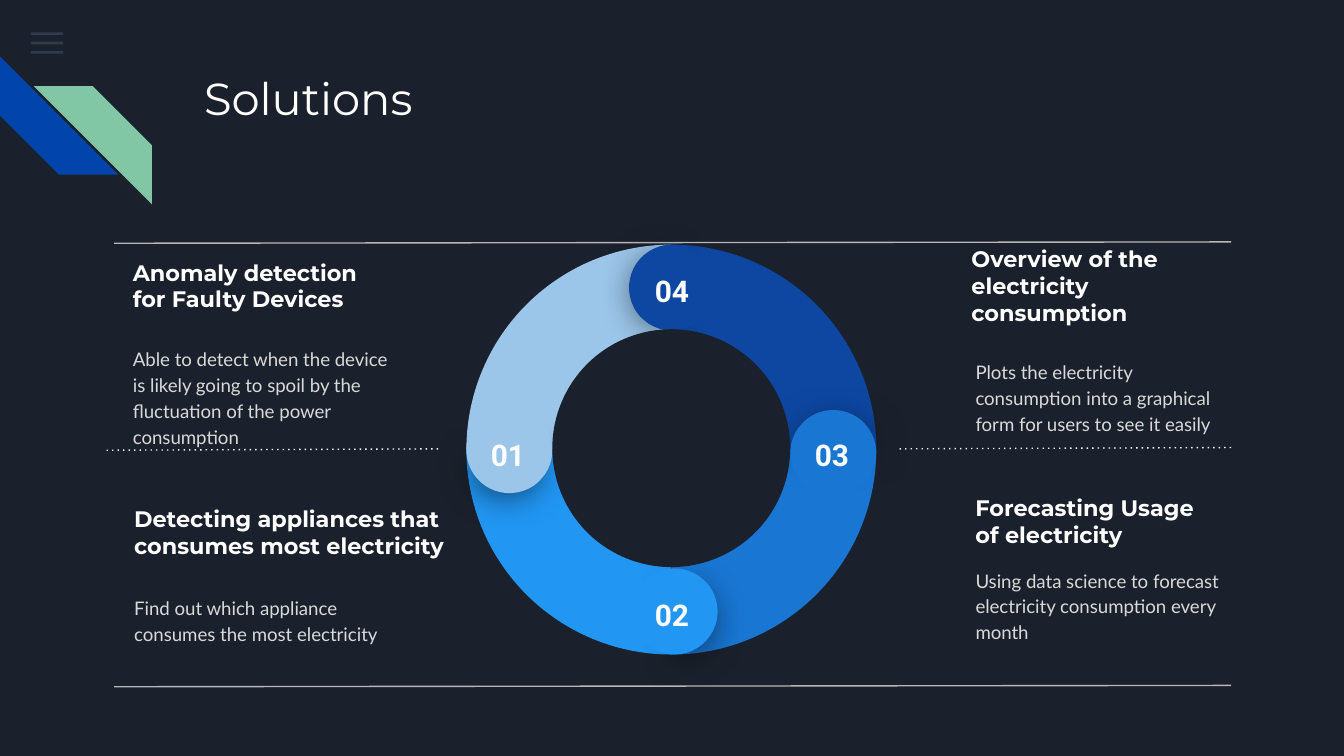
"""Build the Solutions slide: a four-part ring with a heading and text for each part."""
from lxml import etree
from pptx import Presentation
from pptx.dml.color import RGBColor
from pptx.enum.shapes import MSO_CONNECTOR, MSO_SHAPE
from pptx.enum.text import MSO_ANCHOR, PP_ALIGN
from pptx.oxml.ns import qn
from pptx.util import Inches, Pt

STRAIGHT = MSO_CONNECTOR.STRAIGHT
RECTANGLE, STRIPE, OVAL = MSO_SHAPE.RECTANGLE, MSO_SHAPE.DIAGONAL_STRIPE, MSO_SHAPE.OVAL
PIE, CHORD = MSO_SHAPE.PIE, MSO_SHAPE.CHORD
TOP, MIDDLE = MSO_ANCHOR.TOP, MSO_ANCHOR.MIDDLE
LEFT, CENTER = PP_ALIGN.LEFT, PP_ALIGN.CENTER

COLORS = {
    "background": "1B212C", "menu": "55688B", "blue": "0145AC", "green": "82C7A5",
    "white": "FFFFFF", "body": "D9D9D9", "rule": "B7B7B7", "shadow": "000000",
}

TITLE = "Solutions"
TOPICS = [
    ("Anomaly detection for Faulty Devices", (0.89, 1.88, 2.03, 0.49),
     "Able to detect when the device is likely going to spoil by the fluctuation "
     "of the power consumption", (0.89, 2.57)),
    ("Detecting appliances that consumes most electricity", (0.9, 3.53, 2.94, 0.86),
     "Find out which appliance consumes the most electricity", (0.9, 4.23)),
    ("Overview of the electricity consumption", (7.13, 1.88, 2.03, 0.49),
     "Plots the electricity consumption into a graphical form for users to see it easily",
     (7.16, 2.57)),
    ("Forecasting Usage of electricity", (7.16, 3.63, 2.03, 0.49),
     "Using data science to forecast electricity consumption every month", (7.16, 4.12)),
]
RULES = [
    ((9.16, 1.8), (0.85, 1.81), "rule", False),
    ((3.26, 3.34), (0.78, 3.35), "white", True),
    ((9.16, 3.33), (6.67, 3.34), "white", True),
    ((9.16, 5.1), (0.85, 5.11), "rule", False),
]
HALF_ARC, WIDE_HALF_ARC = (315.9, 139.7), (328.1, 129.5)
RING_PARTS = [
    ("01", "9BC5E9", (3.48, 3.07), HALF_ARC, (3.47, 3.03), (3.5, 3.15)),
    ("02", "2196F3", (4.74, 4.28), HALF_ARC, (4.7, 4.23), (4.72, 4.34)),
    ("03", "1976D2", (5.93, 3.07), WIDE_HALF_ARC, (5.88, 3.05), (5.91, 3.15)),
    ("04", "0D47A1", (4.7, 1.83), HALF_ARC, (4.68, 1.82), (4.72, 1.93)),
]
RING_BOX = (3.47, 1.82, 3.05, 3.05)
HOLE_BOX = (4.11, 2.45, 1.77, 1.77)
BODY_SIZE, LABEL_SIZE = (2.18, 0.76), (0.56, 0.29)
HALF_SIZE, DISC_SIZE = (0.57, 0.57), (0.64, 0.64)
QUARTER_ARC, DISC_ARC = (180, 270), (41.7, 30.2)
HALF_TURN, DISC_TURN = 39.5, 4.1


def inches(values):
    return [Inches(value) for value in values]


def add_filled(slide, kind, box, color, turn=0, arc=None):
    shape = slide.shapes.add_shape(kind, *inches(box))
    shape.shadow.inherit = False
    shape.fill.solid()
    shape.fill.fore_color.rgb = RGBColor.from_string(color)
    shape.line.fill.background()
    shape.rotation = turn % 360
    for index, degrees in enumerate(arc or ()):
        shape.adjustments[index] = degrees * 0.6
    return shape


def add_alpha(color_element, percent):
    etree.SubElement(color_element, qn("a:alpha"), val=str(percent * 1000))


def add_shadow(shape):
    effects = shape.element.spPr.find(qn("a:effectLst"))
    shadow = etree.SubElement(
        effects, qn("a:outerShdw"), blurRad=str(Pt(18)), dist=str(Pt(4)),
        dir="5400000", algn="bl", rotWithShape="0")
    add_alpha(etree.SubElement(shadow, qn("a:srgbClr"), val=COLORS["shadow"]), 55)


def add_text(slide, box, text, font, size, color="white", bold=False,
             anchor=MIDDLE, align=LEFT, spacing=None, after=None):
    text_frame = slide.shapes.add_textbox(*inches(box)).text_frame
    text_frame.word_wrap = True
    text_frame.vertical_anchor = anchor
    text_frame.margin_left = text_frame.margin_right = Inches(0.1)
    text_frame.margin_top = text_frame.margin_bottom = Inches(0.1)
    text_frame.text = text
    paragraph = text_frame.paragraphs[0]
    paragraph.alignment = align
    paragraph.line_spacing = spacing
    paragraph.space_after = after
    run_font = paragraph.runs[0].font
    run_font.name, run_font.size, run_font.bold = font, Pt(size), bold
    run_font.color.rgb = RGBColor.from_string(COLORS[color])


def add_rule(slide, start, end, color, dotted):
    connector = slide.shapes.add_connector(STRAIGHT, *inches(start + end))
    connector.line.color.rgb = RGBColor.from_string(COLORS[color])
    connector.line.width = Pt(0.75)
    properties = connector.element.spPr
    if dotted:
        etree.SubElement(properties.find(qn("a:ln")), qn("a:prstDash"), val="dot")
    etree.SubElement(properties, qn("a:effectLst"))


def add_decoration(slide):
    for row in range(3):
        bar = add_filled(slide, RECTANGLE, (0.23, 0.24 + 0.07 * row, 0.24, 0.02), COLORS["menu"])
        add_alpha(bar.element.spPr.find(".//" + qn("a:srgbClr")), 36)
    add_filled(slide, STRIPE, (0, 0.42, 0.88, 0.88), COLORS["blue"], 270)
    green = add_filled(slide, STRIPE, (0.25, 0.64, 0.88, 0.88), COLORS["green"])
    green.element.spPr.find(qn("a:xfrm")).set("flipH", "1")


def add_ring(slide):
    for index, (_, color, *_) in enumerate(RING_PARTS):
        add_filled(slide, PIE, RING_BOX, color, -90 * index, QUARTER_ARC)
    for index, (label, color, half, half_arc, disc, label_place) in enumerate(RING_PARTS):
        turn = -90 * index
        add_shadow(add_filled(slide, PIE, half + HALF_SIZE, color, HALF_TURN + turn, half_arc))
        add_filled(slide, CHORD, disc + DISC_SIZE, color, DISC_TURN + turn, DISC_ARC)
        add_text(slide, label_place + LABEL_SIZE, label, "Roboto", 16,
                 bold=True, anchor=TOP, align=CENTER)
    add_filled(slide, OVAL, HOLE_BOX, COLORS["background"])


def main():
    presentation = Presentation()
    presentation.slide_width = Inches(10)
    presentation.slide_height = Inches(10 * 9 / 16)
    slide = presentation.slides.add_slide(presentation.slide_layouts[6])
    slide.background.fill.solid()
    slide.background.fill.fore_color.rgb = RGBColor.from_string(COLORS["background"])
    add_decoration(slide)
    add_text(slide, (1.42, 0.43, 7.7, 1), TITLE, "Montserrat", 24, anchor=TOP)
    for heading, heading_box, body, body_place in TOPICS:
        add_text(slide, heading_box, heading, "Montserrat", 12, bold=True)
        add_text(slide, body_place + BODY_SIZE, body, "Lato", 10, "body",
                 spacing=1.15, after=Pt(16))
    for rule in RULES:
        add_rule(slide, *rule)
    add_ring(slide)
    presentation.save("out.pptx")


if __name__ == "__main__":
    main()
